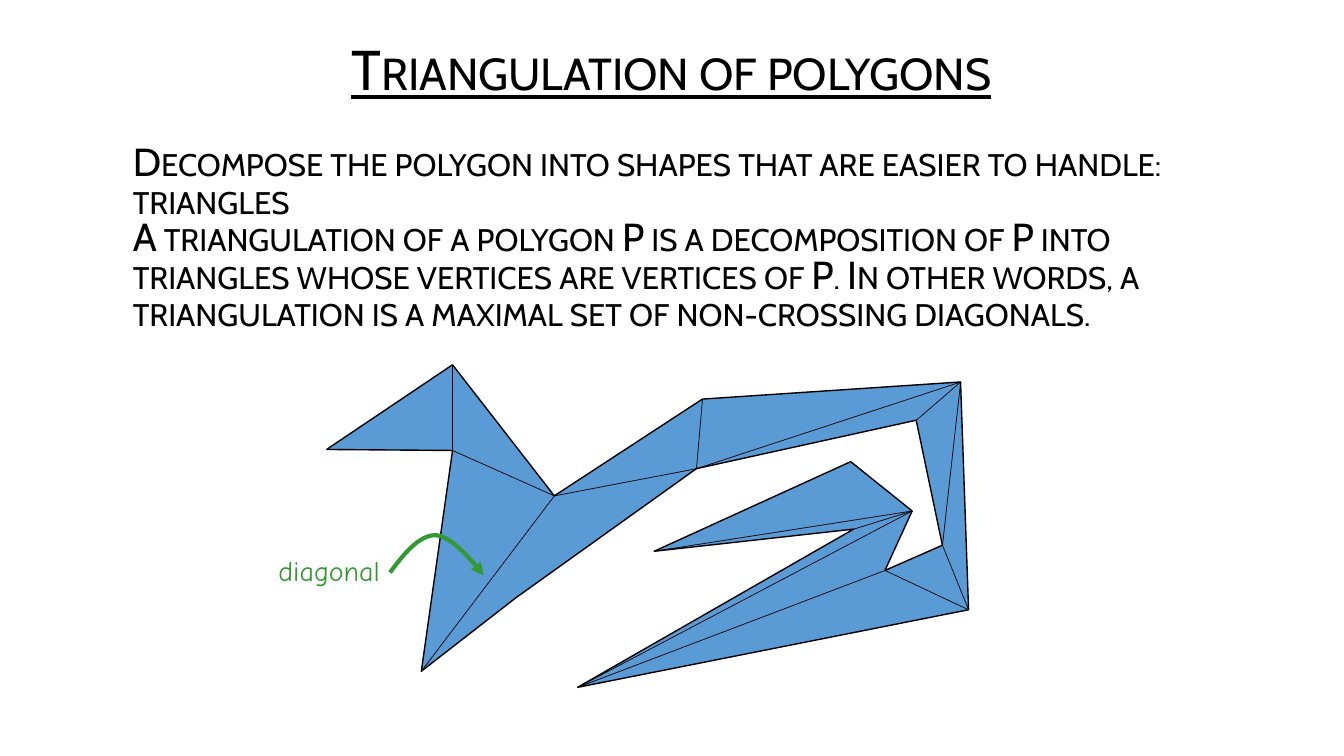
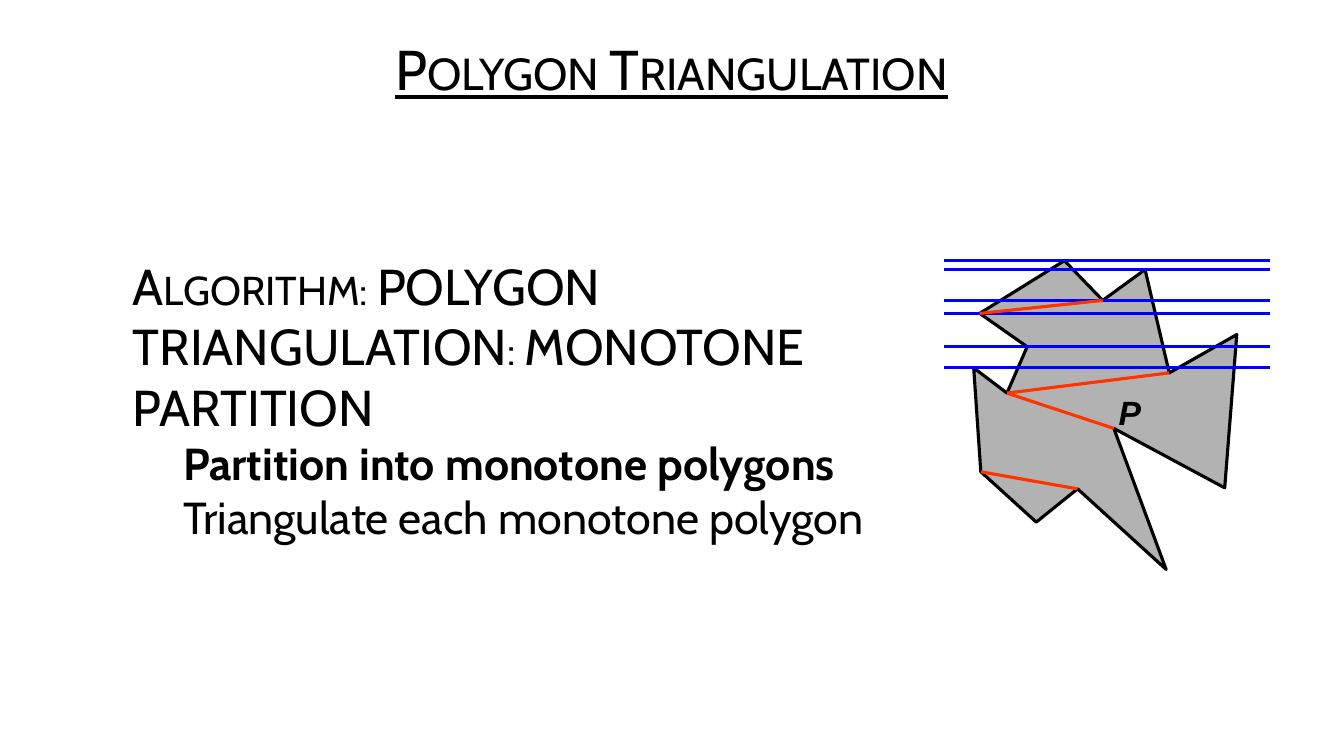
from dataclasses import dataclass

from lxml.etree import SubElement
from pptx import Presentation
from pptx.dml.color import RGBColor as Color
from pptx.enum.shapes import MSO_CONNECTOR as Connector
from pptx.enum.text import MSO_ANCHOR as Anchor, MSO_AUTO_SIZE as AutoSize, PP_ALIGN as Align
from pptx.oxml.ns import qn
from pptx.util import Pt


@dataclass(frozen=True)
class Theme:
    font: str = "Cabin"
    hand_font: str = "Comic Neue"
    label_font: str = "Arial"
    title_size: float = 40
    statement_size: float = 27.9
    heading_size: float = 36
    step_size: float = 32
    diagonal_size: float = 20
    label_size: float = 24
    ink: str = "000000"
    blue: str = "5B9BD5"
    grey: str = "B2B2B2"
    green: str = "339933"
    sweep: str = "0000FF"
    cut: str = "FF3300"


THEME = Theme()
TITLE_ONLY = 5

# Vertices in points, in order around each outline.
DRAGON = [
    (233.3, 321.1), (323.3, 260.6), (396, 354.2), (501.8, 285.1), (686.2, 272.9),
    (691.9, 435.6), (412.6, 491), (609.8, 378), (467.3, 393.8), (607.7, 329.8),
    (651.6, 365), (632.2, 407.5), (673.2, 389.5), (654.5, 300.2), (497.5, 334.8),
    (368.6, 427), (301, 479.5), (323.3, 321.8),
]
DRAGON_DIAGONALS = [
    (1, 17), (17, 2), (2, 16), (2, 14), (14, 3), (14, 4), (13, 4),
    (12, 4), (12, 5), (11, 5), (11, 6), (10, 6), (7, 10), (10, 8),
]
MONOTONE = [
    (833, 406.8), (769.7, 349.2), (740.2, 373), (700.6, 337), (695.5, 262.8),
    (719.3, 280.8), (733.7, 247.7), (699.8, 223.9), (760.3, 186.2), (787.7, 214.6),
    (817.9, 192.6), (835.2, 266.4), (883.4, 239), (874.8, 348.5), (795.6, 306),
]
MONOTONE_CUTS = [(9, 7), (11, 5), (14, 5), (1, 3)]
SWEPT_VERTICES = [8, 10, 9, 7, 6, 4]
SWEEP_LEFT, SWEEP_RIGHT = 674, 907.5
POINTER_CURVE = [(278.6, 409), (288.7, 395.3), (299.5, 382.3), (311, 382.3)]
POINTER_FALL = [(311, 382.3), (321.8, 383), (334.1, 396.7), (345.6, 411.1)]


def style_para(para, size, font=THEME.font, color=THEME.ink, small_caps=False, bold=None):
    para.font.name = font
    para.font.size = Pt(size)
    para.font.bold = bold
    para.font.color.rgb = Color.from_string(color)
    if small_caps:
        para._p.get_or_add_pPr().get_or_add_defRPr().set("cap", "small")


def add_page(deck, title):
    page = deck.slides.add_slide(deck.slide_layouts[TITLE_ONLY])
    box = page.shapes.title
    box.left, box.top, box.width, box.height = Pt(125.3), Pt(20.9), Pt(708.5), Pt(61.2)
    frame = box.text_frame
    frame.text = title
    frame.auto_size = AutoSize.NONE
    frame.vertical_anchor = Anchor.MIDDLE
    para = frame.paragraphs[0]
    para.alignment = Align.CENTER
    para.line_spacing = 0.9
    para.space_before = Pt(10)
    style_para(para, THEME.title_size, small_caps=True)
    para.font.underline = True
    return page


def add_text(page, left, top, width, height, lines, anchor=Anchor.TOP):
    """Add a wrapping text box and return its paragraphs, one for each line."""
    box = page.shapes.add_textbox(Pt(left), Pt(top), Pt(width), Pt(height))
    frame = box.text_frame
    frame.word_wrap = True
    frame.vertical_anchor = anchor
    frame.text = "\n".join(lines)
    return frame.paragraphs


def indent(para, margin):
    para._p.get_or_add_pPr().set("marL", str(Pt(margin)))


def add_path(page, points, color, weight, fill=None):
    """Draw a closed outline when a fill is given, otherwise an open path."""
    start, *rest = [(Pt(x), Pt(y)) for x, y in points]
    builder = page.shapes.build_freeform(*start)
    builder.add_line_segments(rest, close=fill is not None)
    shape = builder.convert_to_shape()
    shape.shadow.inherit = False
    if fill:
        shape.fill.solid()
        shape.fill.fore_color.rgb = Color.from_string(fill)
    else:
        shape.fill.background()
    shape.line.color.rgb = Color.from_string(color)
    shape.line.width = Pt(weight)
    return shape


def add_line(page, start, end, color, weight):
    ends = [Pt(value) for value in (*start, *end)]
    line = page.shapes.add_connector(Connector.STRAIGHT, *ends)
    line.line.color.rgb = Color.from_string(color)
    line.line.width = Pt(weight)
    SubElement(line._element.spPr, qn("a:effectLst"))


def add_diagonals(page, vertices, pairs, color, weight):
    for first, second in pairs:
        add_line(page, vertices[first], vertices[second], color, weight)


def bezier(controls, steps=16):
    """Return points along a cubic curve, without its first point."""
    def along(t, axis):
        a, b, c, d = (point[axis] for point in controls)
        s = 1 - t
        return s**3 * a + 3 * s * s * t * b + 3 * s * t * t * c + t**3 * d

    return [(along(i / steps, 0), along(i / steps, 1)) for i in range(1, steps + 1)]


def add_pointer(page):
    points = POINTER_CURVE[:1] + bezier(POINTER_CURVE) + bezier(POINTER_FALL)
    pointer = add_path(page, points, THEME.green, 3)
    SubElement(pointer.line._get_or_add_ln(), qn("a:tailEnd"), type="triangle")


def add_definition_page(deck):
    page = add_page(deck, "Triangulation of polygons")
    statements = add_text(page, 51.8, 95, 856, 153.4, [
        "Decompose the polygon into shapes that are easier to handle: triangles",
        "A triangulation of a polygon P is a decomposition of P into triangles whose "
        "vertices are vertices of P. In other words, a triangulation is a maximal set "
        "of non-crossing diagonals.",
    ], Anchor.MIDDLE)
    for para in statements:
        para.line_spacing = 0.8
        indent(para, 36)
        style_para(para, THEME.statement_size, small_caps=True)

    add_path(page, DRAGON, THEME.ink, 1, THEME.blue)
    add_pointer(page)
    label, = add_text(page, 180, 391.7, 110.2, 31, ["diagonal"])
    label.alignment = Align.CENTER
    style_para(label, THEME.diagonal_size, THEME.hand_font, THEME.green)
    add_diagonals(page, DRAGON, DRAGON_DIAGONALS, THEME.ink, 0.5)


def add_algorithm_page(deck):
    page = add_page(deck, "Polygon Triangulation")
    heading, *steps = add_text(page, 51.8, 95, 589.7, 380.2, [
        "Algorithm: POLYGON TRIANGULATION: MONOTONE PARTITION",
        "Partition into monotone polygons",
        "Triangulate each monotone polygon",
    ], Anchor.MIDDLE)
    indent(heading, 36)
    style_para(heading, THEME.heading_size, small_caps=True)
    for para, bold in zip(steps, (True, False)):
        indent(para, 72)
        style_para(para, THEME.step_size, bold=bold)

    add_path(page, MONOTONE, THEME.ink, 2.25, THEME.grey)
    label, = add_text(page, 792, 276.5, 37.4, 36.7, ["P"])
    style_para(label, THEME.label_size, THEME.label_font, bold=True)
    label.font.italic = True
    for vertex in SWEPT_VERTICES:
        y = MONOTONE[vertex][1]
        add_line(page, (SWEEP_LEFT, y), (SWEEP_RIGHT, y), THEME.sweep, 2.25)
    add_diagonals(page, MONOTONE, MONOTONE_CUTS, THEME.cut, 2.25)


def main():
    deck = Presentation()
    deck.slide_width, deck.slide_height = Pt(960), Pt(540)
    add_definition_page(deck)
    add_algorithm_page(deck)
    deck.save("out.pptx")


if __name__ == "__main__":
    main()
